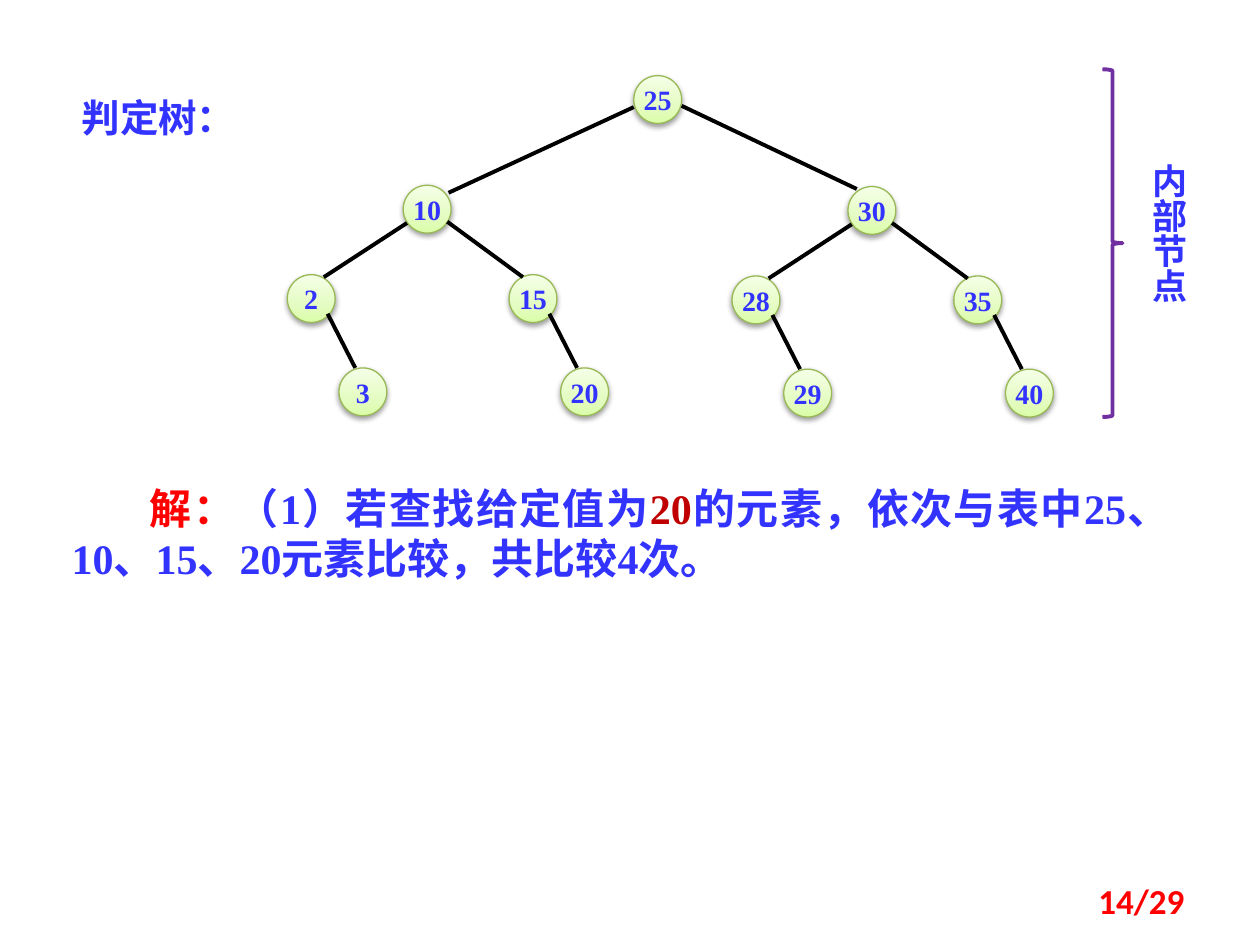
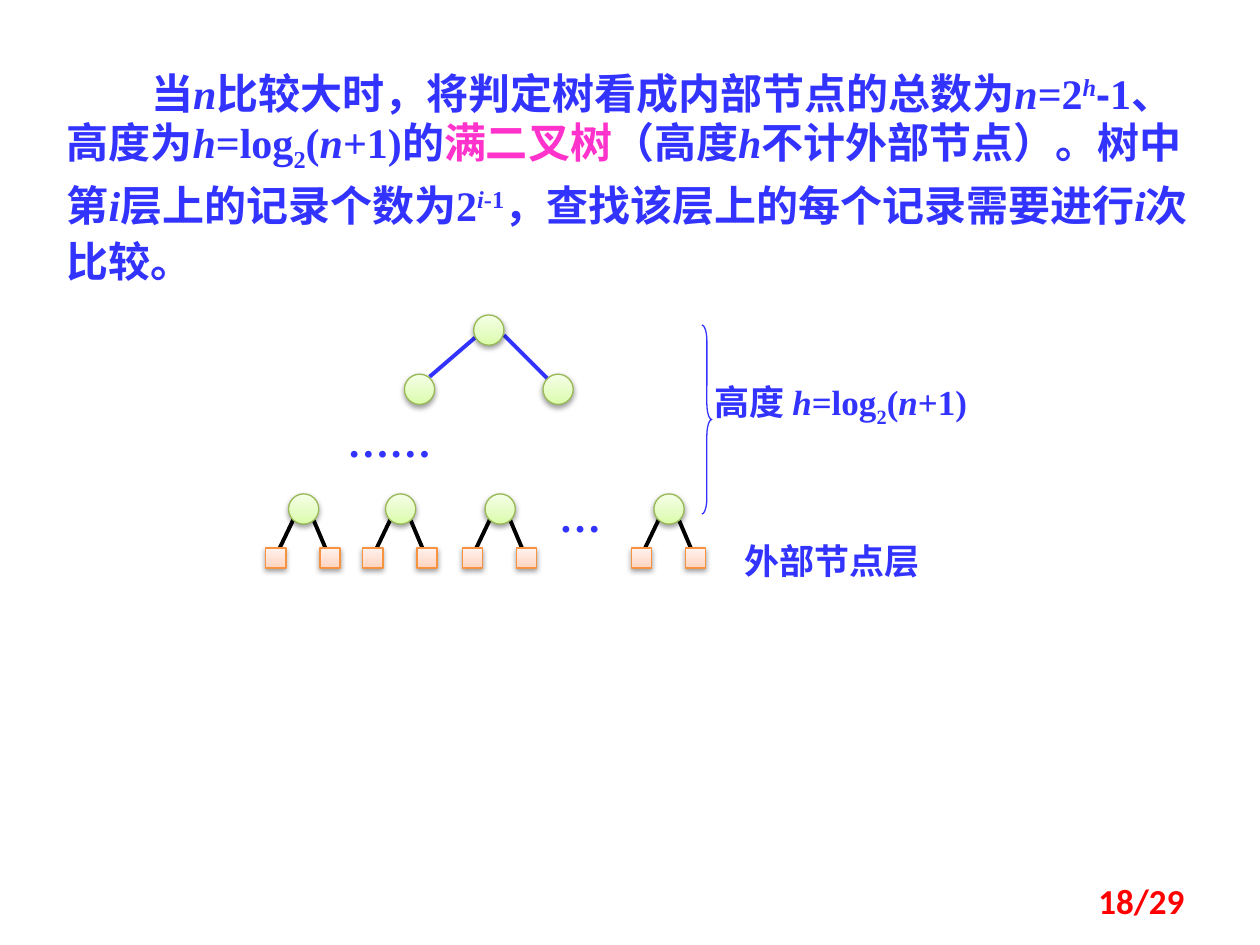
"""Build two slides about the decision tree of binary search."""
from dataclasses import dataclass
from typing import NamedTuple, Optional

from lxml.etree import SubElement
from pptx import Presentation
from pptx.dml.color import RGBColor
from pptx.enum.shapes import MSO_CONNECTOR, MSO_SHAPE
from pptx.enum.text import MSO_ANCHOR, MSO_AUTO_SIZE, PP_ALIGN
from pptx.oxml.ns import qn
from pptx.util import Inches, Pt


@dataclass(frozen=True)
class Theme:
    blue: str = "3333FF"
    red: str = "FF0000"
    dark_red: str = "C00000"
    pink: str = "FF33CC"
    purple: str = "7030A0"
    black: str = "000000"
    latin: str = "Times New Roman"
    chinese: str = "Noto Sans CJK SC"
    minus_sign: str = "Arial"
    page_number: str = "Calibri"
    body: int = 24
    heading: int = 22
    label: int = 20
    key: int = 16
    thin: float = 0.75
    thick: float = 2.25


THEME = Theme()


class Point(NamedTuple):
    x: float
    y: float

    def shift(self, offset: "Point") -> "Point":
        return Point(self.x + offset.x, self.y + offset.y)


class Box(NamedTuple):
    left: float
    top: float
    width: float
    height: float

    def lengths(self) -> list:
        return [Inches(value) for value in self]


class Span(NamedTuple):
    text: str
    color: Optional[str] = None
    italic: bool = False
    baseline: int = 0
    font: Optional[str] = None


class NodeStyle(NamedTuple):
    preset: MSO_SHAPE
    size: float
    gradient: tuple
    outline: str


class Route(NamedTuple):
    """Where an edge leaves its parent and reaches its child."""
    leave: Point
    reach: Point


class Edge(NamedTuple):
    parent: int
    child: int
    route: Route


GREEN = ("DAFDA7", "E4FCC2", "F5FFE7")
KEY_NODE = NodeStyle(MSO_SHAPE.OVAL, 0.38, GREEN, "98B955")
INNER_NODE = KEY_NODE._replace(size=0.24)
OUTER_NODE = NodeStyle(MSO_SHAPE.RECTANGLE, 0.16, ("FFD2BD", "FFDED0", "FFF2ED"), "F69240")

ROOT_LEFT = Route(Point(0, 0.25), Point(0.36, 0.06))
ROOT_RIGHT = Route(Point(0.38, 0.24), Point(0.07, 0.02))
LEFT = Route(Point(0.03, 0.3), Point(0.29, 0.02))
RIGHT = Route(Point(0.35, 0.29), Point(0.11, 0.02))
STEEP = Route(Point(0.32, 0.31), Point(0.13, 0))

ROOT = Point(5.03, 0.6)
SUBTREE_TOPS = {10: Point(3.2, 1.47), 30: Point(6.73, 1.48)}
SUBTREE_KEYS = {10: (10, 2, 3, 15, 20), 30: (30, 28, 29, 35, 40)}
SUBTREE_OFFSETS = (Point(0, 0), Point(-0.92, 0.71), Point(-0.51, 1.45),
                   Point(0.84, 0.71), Point(1.25, 1.45))
SUBTREE_ROUTES = ((0, 1, LEFT), (0, 3, RIGHT), (1, 2, STEEP), (3, 4, STEEP))

FULL_TREE_TOP = (Point(3.76, 2.5), Point(3.21, 2.97), Point(4.31, 2.97))
LAST_LEVEL_LEFTS = (2.29, 3.06, 3.85, 5.19)
LAST_LEVEL_TOP = 3.92
OUTER_EDGES = ((Point(0.04, 0.2), Point(-0.07, 0.43)), (Point(0.2, 0.21), Point(0.31, 0.47)))
OUTER_OFFSETS = (Point(-0.18, 0.43), Point(0.25, 0.43))

SOLUTION = (
    Span("解：", THEME.red),
    Span("（1）若查找给定值为"),
    Span("20", THEME.dark_red),
    Span("的元素，依次与表中25、10、15、20元素比较，共比较4次。"),
)
HEIGHT_FORMULA = (
    Span("h", italic=True),
    Span("=log"),
    Span("2", baseline=-25),
    Span("("),
    Span("n", italic=True),
)
FULL_TREE_TEXT = (
    Span("当"),
    Span("n", italic=True),
    Span("比较大时，将判定树看成内部节点的总数为"),
    Span("n", italic=True),
    Span("=2"),
    Span("h", italic=True, baseline=30),
    Span("-", font=THEME.minus_sign),
    Span("1、高度为"),
    *HEIGHT_FORMULA,
    Span("+1)的"),
    Span("满二叉树", THEME.pink),
    Span("（高度"),
    Span("h", italic=True),
    Span("不计外部节点）。树中第"),
    Span("i", italic=True),
    Span("层上的记录个数为2"),
    Span("i", italic=True, baseline=30),
    Span("-1", baseline=30),
    Span("，查找该层上的每个记录需要进行"),
    Span("i", italic=True),
    Span("次比较。"),
)


def rgb(color: str) -> RGBColor:
    return RGBColor.from_string(color)


def write(paragraph, spans: tuple, size: int, color: str = THEME.blue,
          font: str = THEME.latin) -> None:
    paragraph.font.name = font
    paragraph.font.size = Pt(size)
    paragraph.font.bold = True
    paragraph.font.color.rgb = rgb(color)
    defaults = paragraph._p.pPr.find(qn("a:defRPr"))
    SubElement(defaults, qn("a:ea"), typeface=THEME.chinese)
    for span in spans:
        run = paragraph.add_run()
        run.text = span.text
        if span.color:
            run.font.color.rgb = rgb(span.color)
        if span.italic:
            run.font.italic = True
        if span.font:
            run.font.name = span.font
        if span.baseline:
            run._r.get_or_add_rPr().set("baseline", str(span.baseline * 1000))


def add_text(slide, box: Box, spans: tuple, size: int, indent: float = 0, **font):
    textbox = slide.shapes.add_textbox(*box.lengths())
    frame = textbox.text_frame
    frame.word_wrap = True
    frame.auto_size = MSO_AUTO_SIZE.SHAPE_TO_FIT_TEXT
    paragraph = frame.paragraphs[0]
    if indent:
        paragraph._p.get_or_add_pPr().set("indent", str(Inches(indent)))
    write(paragraph, spans, size, **font)
    return textbox


def add_page_number(slide, number: int) -> None:
    footer = add_text(slide, Box(7.17, 6.95, 2.33, 0.4), (Span(f"{number}/29"),),
                      THEME.label, color=THEME.red, font=THEME.page_number)
    footer.text_frame.auto_size = MSO_AUTO_SIZE.NONE
    footer.text_frame.vertical_anchor = MSO_ANCHOR.MIDDLE
    footer.text_frame.paragraphs[0].alignment = PP_ALIGN.RIGHT


def add_node(slide, corner: Point, style: NodeStyle, key: Optional[int] = None) -> None:
    node = slide.shapes.add_shape(style.preset, *Box(*corner, style.size, style.size).lengths())
    node.line.color.rgb = rgb(style.outline)
    node.line.width = Pt(THEME.thin)
    node.fill.gradient()
    node.fill.gradient_angle = 90
    properties = node.element.spPr
    stops = properties.find(f"{qn('a:gradFill')}/{qn('a:gsLst')}")
    stops.clear()
    for position, color in zip((0, 35, 100), style.gradient):
        stop = SubElement(stops, qn("a:gs"), pos=str(position * 1000))
        SubElement(stop, qn("a:srgbClr"), val=color)
    node.shadow.inherit = False
    shadow = SubElement(properties.find(qn("a:effectLst")), qn("a:outerShdw"),
                        blurRad=str(Pt(3.1)), dist=str(Pt(1.6)), dir="5400000", rotWithShape="0")
    shade = SubElement(shadow, qn("a:srgbClr"), val=THEME.black)
    SubElement(shade, qn("a:alpha"), val="38000")
    if key is not None:
        frame = node.text_frame
        frame.word_wrap = False
        frame.vertical_anchor = MSO_ANCHOR.MIDDLE
        frame.margin_left = frame.margin_right = frame.margin_top = frame.margin_bottom = 0
        frame.paragraphs[0].alignment = PP_ALIGN.CENTER
        write(frame.paragraphs[0], (Span(str(key)),), THEME.key)


def add_edge(slide, start: Point, end: Point, color: str = THEME.black) -> None:
    edge = slide.shapes.add_connector(
        MSO_CONNECTOR.STRAIGHT, *[Inches(value) for value in (*start, *end)])
    edge.line.color.rgb = rgb(color)
    edge.line.width = Pt(THEME.thick)
    SubElement(edge.element.spPr, qn("a:effectLst"))


def add_brace(slide, box: Box, color: str, weight: float):
    brace = slide.shapes.add_shape(MSO_SHAPE.RIGHT_BRACE, *box.lengths())
    brace.shadow.inherit = False
    brace.fill.background()
    brace.line.color.rgb = rgb(color)
    brace.line.width = Pt(weight)
    return brace


def build_decision_tree(slide) -> None:
    corners = {25: ROOT}
    edges = [Edge(25, 10, ROOT_LEFT), Edge(25, 30, ROOT_RIGHT)]
    for top, keys in SUBTREE_KEYS.items():
        for key, offset in zip(keys, SUBTREE_OFFSETS):
            corners[key] = SUBTREE_TOPS[top].shift(offset)
        edges += [Edge(keys[parent], keys[child], route)
                  for parent, child, route in SUBTREE_ROUTES]

    solution = add_text(slide, Box(0.47, 3.78, 8.91, 0.91), SOLUTION, THEME.body, indent=0.62)
    solution.text_frame.paragraphs[0].alignment = PP_ALIGN.JUSTIFY
    for key, corner in corners.items():
        add_node(slide, corner, KEY_NODE, key)
    for parent, child, route in edges:
        add_edge(slide, corners[parent].shift(route.leave), corners[child].shift(route.reach))
    add_brace(slide, Box(8.75, 0.55, 0.16, 2.76), THEME.purple, THEME.thick)
    inner_label = add_text(slide, Box(8.95, 1.2, 0.54, 1.41), (Span("内部节点"),),
                           THEME.label, font=THEME.chinese)
    inner_label.element.txBody.bodyPr.set("vert", "eaVert")
    add_text(slide, Box(0.55, 0.7, 2.11, 0.47), (Span("判定树："),), THEME.heading)
    add_page_number(slide, 14)


def build_full_tree(slide) -> None:
    explanation = add_text(slide, Box(0.43, 0.44, 9.29, 1.86), FULL_TREE_TEXT,
                           THEME.body, indent=0.67)
    explanation.text_frame.paragraphs[0].line_spacing = Pt(32)

    add_edge(slide, Point(3.77, 2.68), Point(3.41, 2.99), THEME.blue)
    add_edge(slide, Point(4, 2.66), Point(4.39, 3.05), THEME.blue)
    for corner in FULL_TREE_TOP:
        add_node(slide, corner, INNER_NODE)
    for left in LAST_LEVEL_LEFTS:
        parent = Point(left, LAST_LEVEL_TOP)
        for start, end in OUTER_EDGES:
            add_edge(slide, parent.shift(start), parent.shift(end))
        add_node(slide, parent, INNER_NODE)
        for offset in OUTER_OFFSETS:
            add_node(slide, parent.shift(offset), OUTER_NODE)

    add_text(slide, Box(2.66, 3.25, 2.76, 0.5), (Span("……"),), THEME.body)
    add_text(slide, Box(4.34, 3.84, 0.47, 0.5), (Span("…"),), THEME.body)
    add_text(slide, Box(5.81, 4.23, 2.2, 0.44), (Span("外部节点层"),), THEME.label)
    height_brace = add_brace(slide, Box(5.57, 2.58, 0.08, 1.5), THEME.blue, THEME.thin)
    height_brace.adjustments[0] = 1.56
    add_text(slide, Box(5.57, 2.97, 2.68, 0.44),
             (Span("高度 "), *HEIGHT_FORMULA, Span("+1)")), THEME.label)
    add_page_number(slide, 18)


def main() -> None:
    deck = Presentation()
    deck.slide_width, deck.slide_height = Inches(10), Inches(7.5)
    blank = deck.slide_layouts[6]
    for build in (build_decision_tree, build_full_tree):
        build(deck.slides.add_slide(blank))
    deck.save("out.pptx")


if __name__ == "__main__":
    main()
